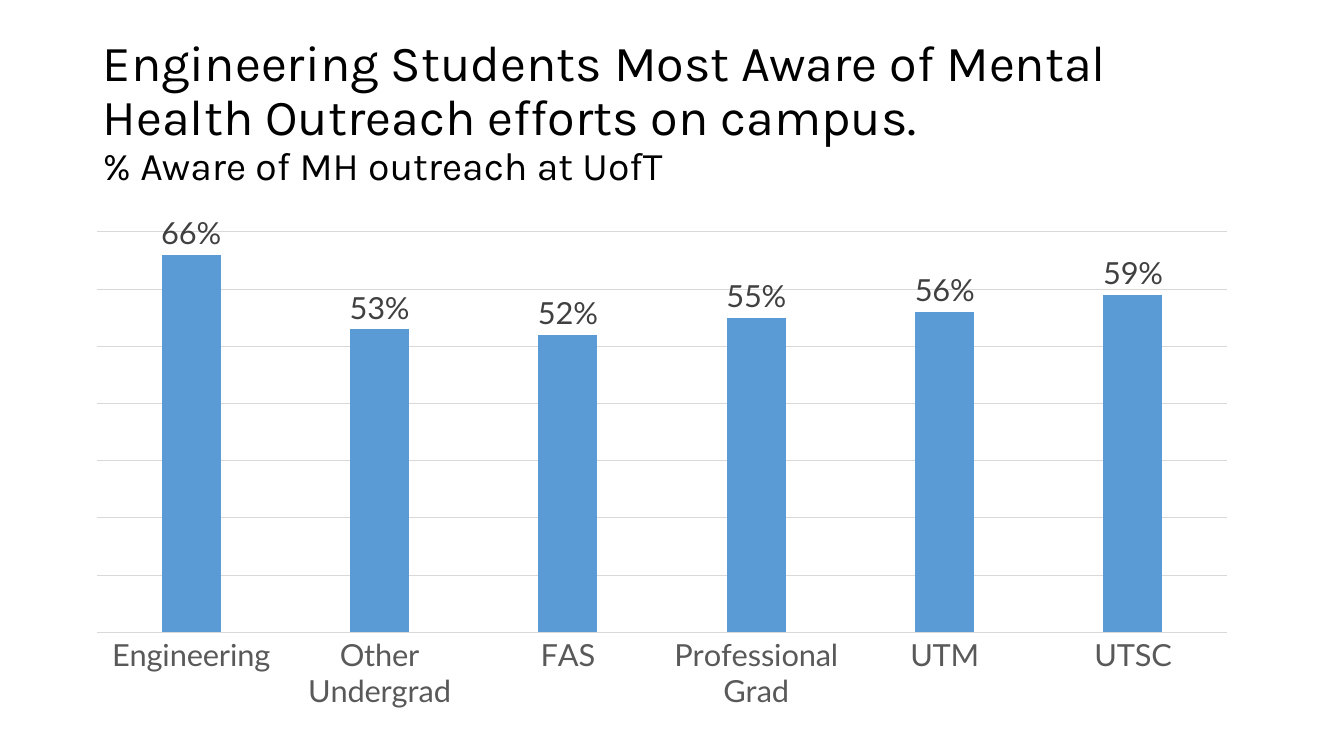
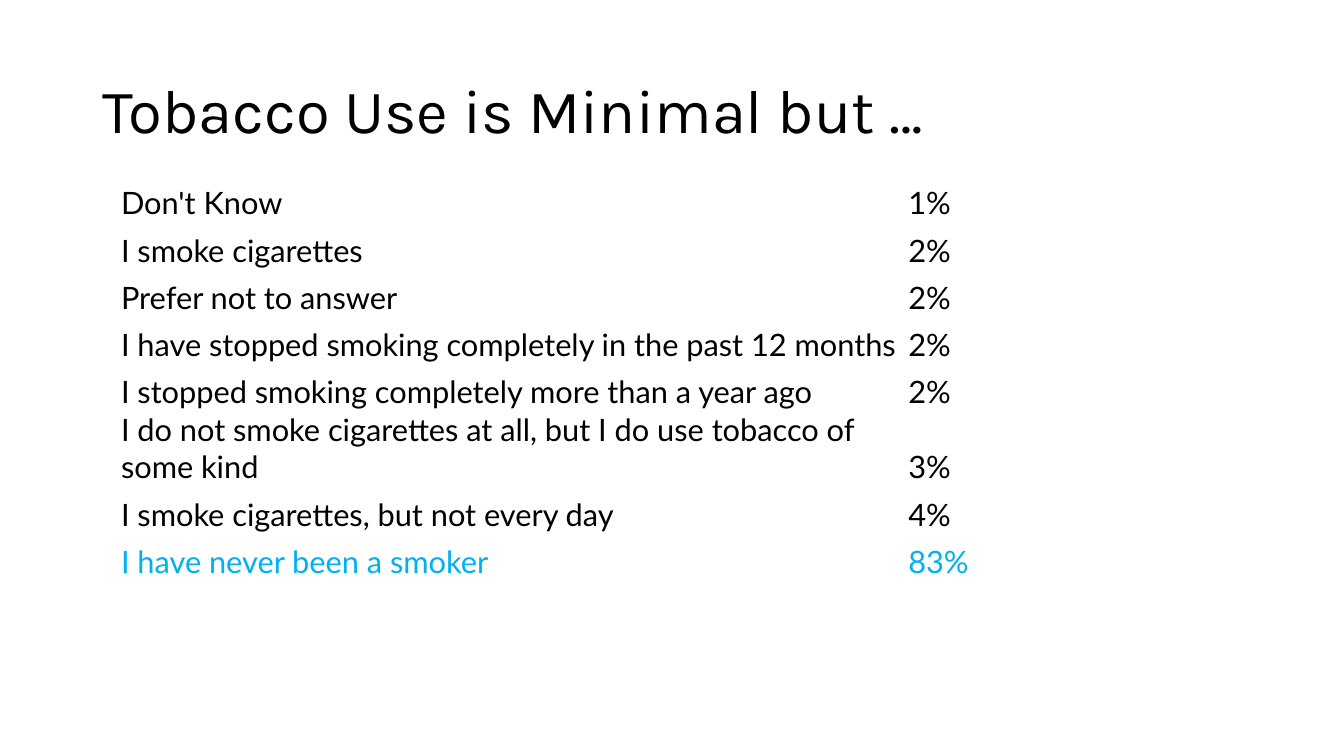
from lxml import etree
from pptx import Presentation
from pptx import util as u
from pptx.chart.data import CategoryChartData
from pptx.dml.color import RGBColor
from pptx.enum import chart as ch, text
from pptx.oxml.ns import qn

COLORS = {"ink": "000000", "bar": "5B9BD5", "grid": "D9D9D9", "axis": "595959",
          "label": "404040", "accent": "00B0F0", "paper": "FFFFFF"}
TITLE_FONT, BODY_FONT, BODY_SIZE = "Karla", "Lato", 22
TITLE_BOX = (2.34, 1.02, 29.21, 3.68)

AWARENESS = {"Engineering": 0.66, "Other Undergrad": 0.53, "FAS": 0.52,
             "Professional Grad": 0.55, "UTM": 0.56, "UTSC": 0.59}
TOBACCO = [
    ("Don't Know", "1%"),
    ("I smoke cigarettes", "2%"),
    ("Prefer not to answer", "2%"),
    ("I have stopped smoking completely in the past 12 months", "2%"),
    ("I stopped smoking completely more than a year ago", "2%"),
    ("I do not smoke cigarettes at all, but I do use tobacco of some kind", "3%"),
    ("I smoke cigarettes, but not every day", "4%"),
    ("I have never been a smoker", "83%"),
]


def rgb(name):
    return RGBColor.from_string(COLORS[name])


def apply(obj, **values):
    for name, value in values.items():
        setattr(obj, name, value)


def style_font(font, color="ink", size=BODY_SIZE, name=BODY_FONT):
    apply(font, name=name, size=u.Pt(size), bold=False)
    font.color.rgb = rgb(color)


def style_line(line, color="grid", width=0.75):
    line.color.rgb = rgb(color)
    line.width = u.Pt(width)


def add_title(s, lines):
    """Write (text, size) lines as one paragraph in the shared title box."""
    tf = s.shapes.add_textbox(*map(u.Cm, TITLE_BOX)).text_frame
    apply(tf, word_wrap=True, vertical_anchor=text.MSO_ANCHOR.MIDDLE)
    p = tf.paragraphs[0]
    p.line_spacing = 0.9
    for i, (line, size) in enumerate(lines):
        if i:
            p.add_line_break()
        r = p.add_run()
        r.text = line
        style_font(r.font, size=size, name=TITLE_FONT)


def add_column_chart(s, box, values):
    data = CategoryChartData(number_format="0%")
    data.categories = list(values)
    data.add_series("Series 1", list(values.values()))
    chart = s.shapes.add_chart(ch.XL_CHART_TYPE.COLUMN_CLUSTERED,
                               *map(u.Cm, box), data).chart
    apply(chart, has_legend=False, has_title=False)
    style_font(chart.font)

    plot = chart.plots[0]
    apply(plot, gap_width=219, overlap=-27, vary_by_categories=False,
          has_data_labels=True)
    fill = plot.series[0].format.fill
    fill.solid()
    fill.fore_color.rgb = rgb("bar")
    labels = plot.data_labels
    apply(labels, show_value=True, number_format="0%",
          number_format_is_linked=False,
          position=ch.XL_LABEL_POSITION.OUTSIDE_END)
    style_font(labels.font, "label")

    cat = chart.category_axis
    cat.major_tick_mark = ch.XL_TICK_MARK.NONE
    style_font(cat.tick_labels.font, "axis")
    style_line(cat.format.line)
    val = chart.value_axis
    apply(val, visible=False, has_major_gridlines=True, minimum_scale=0,
          maximum_scale=0.7, major_unit=0.1)
    style_line(val.major_gridlines.format.line)


def add_borders(cell, color="paper", width=1):
    tc_pr = cell._tc.get_or_add_tcPr()
    for side in ("lnL", "lnR", "lnT", "lnB"):
        ln = etree.SubElement(tc_pr, qn(f"a:{side}"), w=str(u.Pt(width)))
        fill = etree.SubElement(ln, qn("a:solidFill"))
        etree.SubElement(fill, qn("a:srgbClr"), val=COLORS[color])


def fill_cell(cell, words, color):
    inset = u.Cm(0.03)
    apply(cell, text=words, vertical_anchor=text.MSO_ANCHOR.BOTTOM,
          margin_left=inset, margin_right=inset, margin_top=inset,
          margin_bottom=0)
    style_font(cell.text_frame.paragraphs[0].runs[0].font, color)
    add_borders(cell)
    cell.fill.background()


def add_answer_table(s, left, top, widths, row_height, rows):
    """List answers with their shares; the last row is highlighted."""
    box = (left, top, sum(widths), row_height * len(rows))
    table = s.shapes.add_table(len(rows), len(widths), *map(u.Cm, box)).table
    apply(table, first_row=False, horz_banding=False)
    for column, width in zip(table.columns, widths):
        column.width = u.Cm(width)
    for i, row in enumerate(rows):
        table.rows[i].height = u.Cm(row_height)
        color = "accent" if i == len(rows) - 1 else "ink"
        for j, words in enumerate(row):
            fill_cell(table.cell(i, j), words, color)


def build_awareness_slide(s):
    add_title(s, [("Engineering Students Most Aware of Mental Health "
                   "Outreach efforts on campus.", 36),
                  ("% Aware of MH outreach at UofT", 28)])
    add_column_chart(s, (1.85, 5.41, 29.67, 12.7), AWARENESS)


def build_tobacco_slide(s):
    add_title(s, [("Tobacco Use is Minimal but …", 44)])
    add_answer_table(s, 3.02, 4.39, (19.84, 3.1), 1.19, TOBACCO)


def main():
    prs = Presentation()
    apply(prs, slide_width=u.Cm(33.87), slide_height=u.Cm(19.05))
    for build in (build_awareness_slide, build_tobacco_slide):
        build(prs.slides.add_slide(prs.slide_layouts[6]))
    prs.save("out.pptx")


if __name__ == "__main__":
    main()
